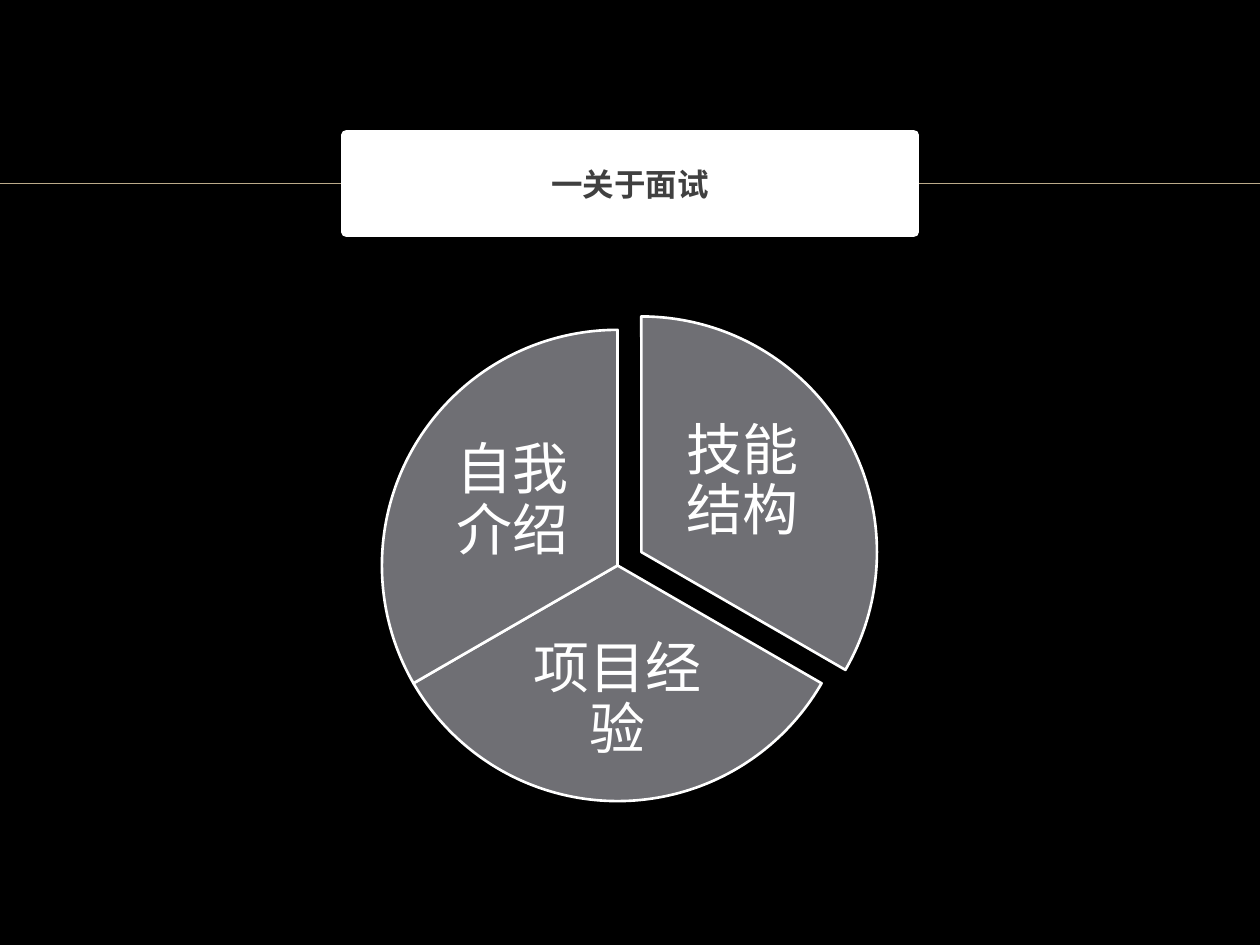
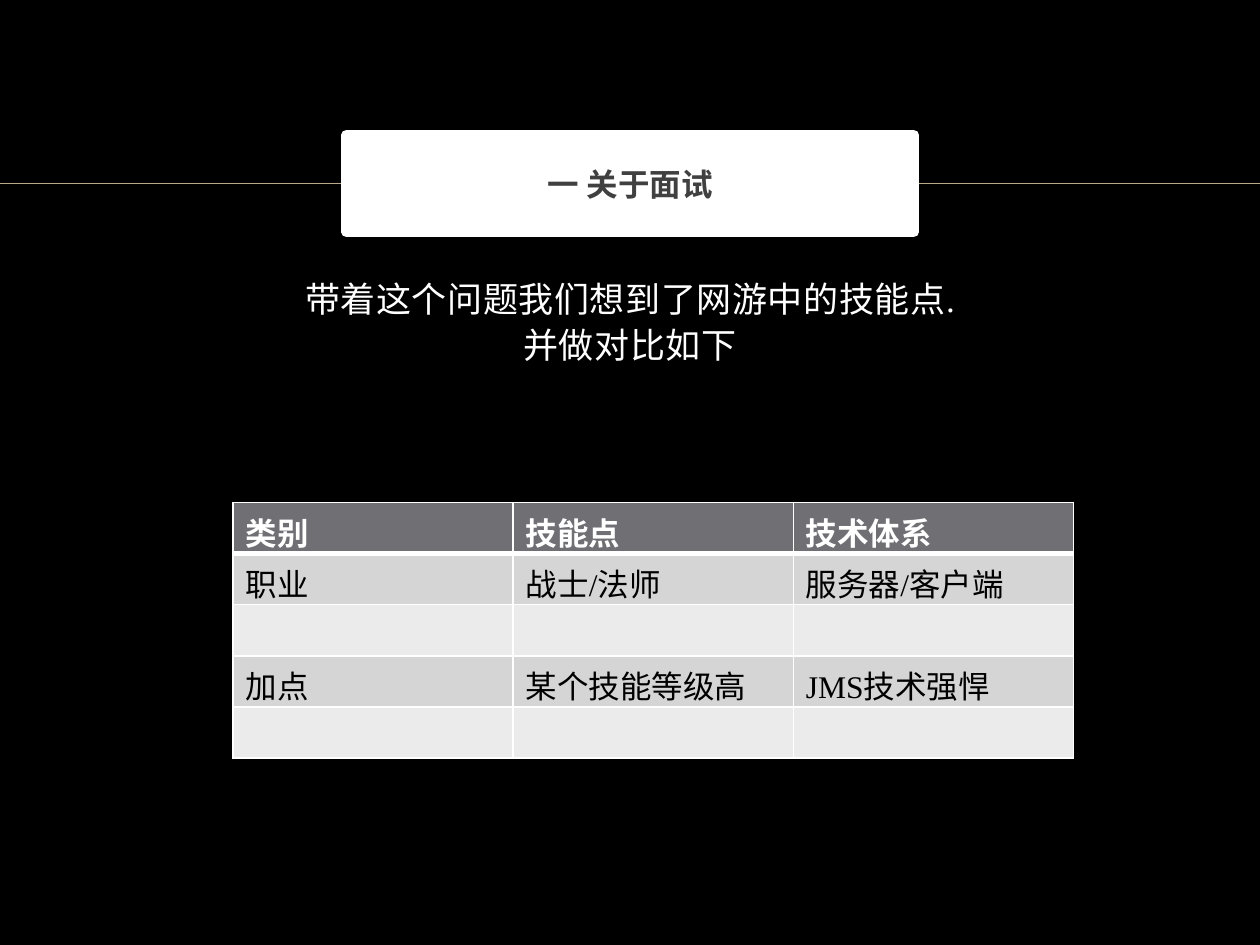
from dataclasses import dataclass

from lxml import etree
from pptx import Presentation
from pptx.dml.color import RGBColor
from pptx.enum.shapes import MSO_CONNECTOR, MSO_SHAPE
from pptx.enum.text import MSO_ANCHOR, MSO_AUTO_SIZE, PP_ALIGN
from pptx.oxml.ns import qn
from pptx.util import Cm, Pt

STRAIGHT = MSO_CONNECTOR.STRAIGHT
PIE = MSO_SHAPE.PIE
MIDDLE = MSO_ANCHOR.MIDDLE
CENTER = PP_ALIGN.CENTER
LEFT = PP_ALIGN.LEFT
NO_FIT = MSO_AUTO_SIZE.NONE
TITLE_ONLY = 5
PIE_DEGREE = 0.6  # pie adjustment units in one degree


@dataclass(frozen=True)
class Theme:
    """Colours, font and type sizes shared by the slides."""
    back: str = "000000"
    white: str = "FFFFFF"
    rule: str = "BBAA8A"
    title: str = "404040"
    accent: str = "6F6F74"
    band_dark: str = "D5D5D6"
    band_light: str = "EBEBEB"
    ink: str = "000000"
    font: str = "Times New Roman"
    title_size: int = 18
    body_size: int = 20
    slice_size: int = 32
    table_size: int = 18


THEME = Theme()


def rgb(code):
    """Turn a hex code into a colour."""
    return RGBColor.from_string(code)


def paint(shape, fill, line, width):
    """Set a solid fill and outline."""
    shape.fill.solid()
    shape.fill.fore_color.rgb = rgb(fill)
    shape.line.color.rgb = rgb(line)
    shape.line.width = Pt(width)


def format_text(tf, size, color, bold=False, align=CENTER, before=0):
    """Format every paragraph and run of a text frame."""
    for p in tf.paragraphs:
        p.alignment = align
        p.space_before = Pt(before)
        for r in p.runs:
            r.font.name = THEME.font
            r.font.size = Pt(size)
            r.font.bold = bold
            r.font.color.rgb = rgb(color)


def add_text(shapes, text, left, top, width, height):
    """Add a wrapping text box and return its text frame."""
    box = shapes.add_textbox(Cm(left), Cm(top), Cm(width), Cm(height))
    tf = box.text_frame
    tf.word_wrap = True
    tf.text = text
    return tf


def add_titled_slide(prs, text):
    """Add a slide with a boxed title over a full-width rule."""
    s = prs.slides.add_slide(prs.slide_layouts[TITLE_ONLY])
    title = s.shapes.title
    title.left, title.top = Cm(6.99), Cm(2.72)
    title.width, title.height = Cm(11.43), Cm(1.96)
    paint(title, THEME.white, THEME.white, 6)
    tf = title.text_frame
    tf.text = text
    tf.auto_size = NO_FIT
    tf.vertical_anchor = MIDDLE
    format_text(tf, THEME.title_size, THEME.title, bold=True, before=4)

    rule = s.shapes.add_connector(STRAIGHT, 0, Cm(3.7), prs.slide_width, Cm(3.7))
    rule.line.color.rgb = rgb(THEME.rule)
    rule.line.width = Pt(1)
    etree.SubElement(rule.element.spPr, qn("a:effectLst"))
    title.element.addprevious(rule.element)  # the box covers the rule
    return s


def add_slice(shapes, left, top, start, label, label_box):
    """Add a third of a pie, starting at an angle, with its label."""
    pie = shapes.add_shape(PIE, Cm(left), Cm(top), Cm(9.5), Cm(9.5))
    pie.shadow.inherit = False
    pie.adjustments[0] = start * PIE_DEGREE
    pie.adjustments[1] = (start + 120) % 360 * PIE_DEGREE
    paint(pie, THEME.accent, THEME.white, 1.5)

    tf = add_text(shapes, label, *label_box)
    tf.vertical_anchor = MIDDLE
    tf.margin_left = tf.margin_right = tf.margin_top = tf.margin_bottom = Cm(0.1)
    format_text(tf, THEME.slice_size, THEME.white)
    tf.paragraphs[0].line_spacing = 0.9


def add_intro(s, text):
    """Add the centred, slightly spaced introduction."""
    tf = add_text(s.shapes, text, 1.27, 5.61, 22.86, 11.33)
    format_text(tf, THEME.body_size, THEME.white, before=6)
    for p in tf.paragraphs:
        p.line_spacing = 0.84
        for r in p.runs:
            r.font._element.set("spc", "30")


def set_borders(cell, widths):
    """Draw white cell borders; widths maps a side to points."""
    tc_pr = cell._tc.get_or_add_tcPr()
    for side, width in widths.items():
        ln = etree.SubElement(tc_pr, qn(f"a:ln{side}"), w=str(Pt(width)))
        fill = etree.SubElement(ln, qn("a:solidFill"))
        etree.SubElement(fill, qn("a:srgbClr"), val=THEME.white)


def add_comparison(s, rows):
    """Add a table with a dark header and alternating bands."""
    frame = s.shapes.add_table(len(rows), len(rows[0]), Cm(4.7), Cm(10.13),
                               Cm(16.94), Cm(1.03) * len(rows))
    for i, row in enumerate(rows):
        header = i == 0
        band = THEME.band_dark if i % 2 else THEME.band_light
        for j, text in enumerate(row):
            cell = frame.table.cell(i, j)
            set_borders(cell, {"L": 1, "R": 1, "T": 3 if i == 1 else 1,
                               "B": 3 if header else 1})
            cell.fill.solid()
            cell.fill.fore_color.rgb = rgb(THEME.accent if header else band)
            if text:
                cell.text = text
                format_text(cell.text_frame, THEME.table_size,
                            THEME.white if header else THEME.ink, header, LEFT)


def build_topics(prs):
    """Build the slide with the three interview topics."""
    s = add_titled_slide(prs, "一关于面试")
    shapes = s.shapes.add_group_shape().shapes
    add_slice(shapes, 8.18, 6.38, 270, "技能结构", (13.36, 8.13, 3.23, 3.18))
    add_slice(shapes, 7.7, 6.65, 30, "项目经验", (10.31, 12.65, 4.29, 2.95))
    add_slice(shapes, 7.7, 6.65, 150, "自我介绍", (8.71, 8.53, 3.23, 3.18))
    # The title stays in front of the pie.
    s.shapes[-1].element.addnext(s.shapes.title.element)


def build_comparison(prs):
    """Build the slide comparing game skills with technology."""
    s = add_titled_slide(prs, "一 关于面试")
    add_intro(s, "带着这个问题我们想到了网游中的技能点.\n并做对比如下")
    blank = ("", "", "")
    add_comparison(s, [
        ("类别", "技能点", "技术体系"),
        ("职业", "战士/法师", "服务器/客户端"),
        blank,
        ("加点", "某个技能等级高", "JMS技术强悍"),
        blank,
    ])


def main():
    """Build and save the presentation."""
    prs = Presentation()
    prs.slide_width, prs.slide_height = Cm(25.4), Cm(19.05)
    fill = prs.slide_master.background.fill
    fill.solid()
    fill.fore_color.rgb = rgb(THEME.back)
    build_topics(prs)
    build_comparison(prs)
    prs.save("out.pptx")


main()
